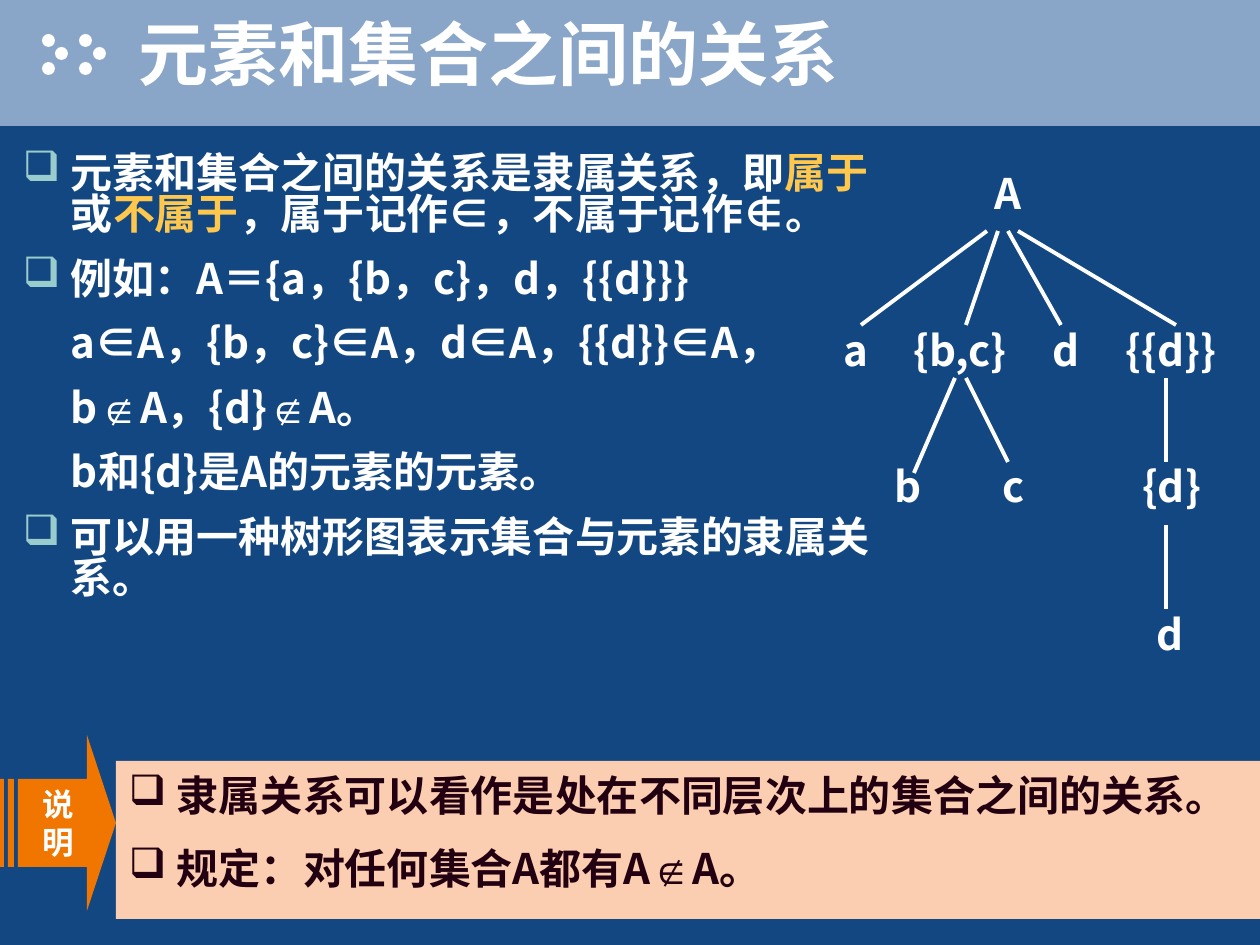
from lxml import etree
from pptx import Presentation
from pptx import util as u
from pptx.dml.color import RGBColor
from pptx.enum import shapes, text
from pptx.oxml.ns import qn

PX = 914400 // 126
COLORS = {
    "background": "134781", "band": "89A5C7", "white": "FFFFFF",
    "bullet": "99CCCC", "key": "FFC84D", "arrow": "F07600",
    "note": "FCCEB1", "dark": "220011",
}
FONT, SYMBOL_FONT = "Noto Sans CJK SC", "Arial"

TITLE = "元素和集合之间的关系"
# Each paragraph: bulleted or not, then its runs; a run is (words, colour or None).
BODY = [
    (True, [("元素和集合之间的关系是隶属关系，即", None), ("属于", "key"),
            ("或", None), ("不属于", "key"), ("，属于记作∈，不属于记作", None),
            ("∉", None), ("。", None)]),
    (True, [("例如：A＝{a，{b，c}，d，{{d}}}", None)]),
    (False, [("a∈A，{b，c}∈A，d∈A，{{d}}∈A，", None)]),
    (False, [("b", None), ("∉", None), ("A，{d}", None), ("∉", None), ("A。", None)]),
    (False, [("b和{d}是A的元素的元素。", None)]),
    (True, [("可以用一种树形图表示集合与元素的隶属关系。", None)]),
]
NOTE = [
    (True, [("隶属关系可以看作是处在不同层次上的集合之间的关系。", None)]),
    (True, [("规定：对任何集合A都有A", None), ("∉", None), ("A。", None)]),
]
NOTE_LABEL = "说明"

DOTS = [(42, 34), (55, 47), (42, 62), (79, 34), (93, 47), (79, 62)]
DOT_SIZE = 13
ARROW = [
    [(18, 779), (87, 779), (87, 735), (116, 823), (87, 911), (87, 867), (18, 867)],
    [(0, 779), (4, 779), (4, 867), (0, 867)],
    [(8, 779), (14, 779), (14, 867), (8, 867)],
]
# Tree levels: top of the row, then (label, left, width).
TREE = [
    (158, [("A", 955, 105)]),
    (315, [("a", 829, 53), ("{b,c}", 892, 136), ("d", 1040, 53), ("{{d}}", 1103, 136)]),
    (451, [("b", 882, 53), ("c", 987, 53), ("{d}", 1124, 95)]),
    (599, [("d", 1144, 53)]),
]
BRANCHES = [
    (987, 231, 861, 325), (998, 231, 966, 325), (1008, 231, 1061, 325),
    (1018, 231, 1176, 325), (955, 378, 914, 473), (966, 378, 1008, 462),
    (1166, 378, 1166, 462), (1166, 525, 1166, 609),
]


def px(*lengths):
    return [round(length * PX) for length in lengths]


def rgb(name):
    return RGBColor.from_string(COLORS[name])


def paint(shape, color):
    shape.shadow.inherit = False
    shape.fill.solid()
    shape.fill.fore_color.rgb = rgb(color)
    shape.line.fill.background()
    return shape


def add_bullet(paragraph, color):
    props = paragraph._p.get_or_add_pPr()
    tint = etree.SubElement(props, qn("a:buClr"))
    etree.SubElement(tint, qn("a:srgbClr"), val=COLORS[color])
    etree.SubElement(props, qn("a:buChar"), char="❑")


def add_run(paragraph, words, color, size):
    run = paragraph.add_run()
    run.text = words
    font = run.font
    font.size, font.bold = u.Pt(size), True
    font.color.rgb = rgb(color)
    font.name = SYMBOL_FONT if words == "∉" else FONT
    east_asian = etree.Element(qn("a:ea"), typeface=font.name)
    run._r.rPr.find(qn("a:latin")).addnext(east_asian)
    return run


def write(shape, paragraphs, color="white", size=24, line=29, gap=13.5, bullet="bullet",
          align=text.PP_ALIGN.LEFT, anchor=text.MSO_ANCHOR.TOP, side=13, top=6):
    """Fill a shape with (bulleted, runs) paragraphs; line is the line pitch in points."""
    frame = shape.text_frame
    frame.word_wrap = True
    frame.vertical_anchor = anchor
    frame.margin_left, frame.margin_right = px(side, side)
    frame.margin_top, frame.margin_bottom = px(top, 6)
    for index, (bulleted, runs) in enumerate(paragraphs):
        paragraph = frame.add_paragraph() if index else frame.paragraphs[0]
        if bullet:
            props = paragraph._p.get_or_add_pPr()
            props.set("marL", str(48 * PX))
            props.set("indent", str(-48 * PX if bulleted else 0))
        if bulleted:
            add_bullet(paragraph, bullet)
        paragraph.alignment = align
        if line:
            paragraph.line_spacing = u.Pt(line)
        if index:
            paragraph.space_before = u.Pt(gap)
        for words, tint in runs:
            add_run(paragraph, words, tint or color, size)


def plain(words):
    return [(False, [(words, None)])]


def cast_text_shadow(run):
    effects = etree.Element(qn("a:effectLst"))
    shadow = etree.SubElement(effects, qn("a:outerShdw"), dist="28575", dir="2700000")
    etree.SubElement(shadow, qn("a:srgbClr"), val=COLORS["dark"])
    run._r.rPr.find(qn("a:solidFill")).addnext(effects)


def add_header(slide):
    band = slide.shapes.add_shape(shapes.MSO_SHAPE.RECTANGLE, *px(0, 0, 1260, 126))
    paint(band, "band")
    for left, top in DOTS:
        dot = slide.shapes.add_shape(shapes.MSO_SHAPE.OVAL,
                                     *px(left, top, DOT_SIZE, DOT_SIZE))
        paint(dot, "white")
    title = slide.shapes.add_textbox(*px(126, 0, 1134, 105))
    write(title, plain(TITLE), size=40, line=None, bullet=None,
          anchor=text.MSO_ANCHOR.MIDDLE)
    cast_text_shadow(title.text_frame.paragraphs[0].runs[0])


def add_note(slide):
    first, *bars = ARROW
    builder = slide.shapes.build_freeform(*first[0], scale=PX)
    builder.add_line_segments(first[1:])
    for bar in bars:
        builder.move_to(*bar[0])
        builder.add_line_segments(bar[1:])
    arrow = paint(builder.convert_to_shape(), "arrow")
    write(arrow, plain(NOTE_LABEL), size=18, line=21.7, bullet=None, side=30,
          align=text.PP_ALIGN.CENTER, anchor=text.MSO_ANCHOR.MIDDLE)
    panel = slide.shapes.add_shape(shapes.MSO_SHAPE.RECTANGLE, *px(116, 761, 1144, 158))
    write(paint(panel, "note"), NOTE, color="dark", line=28.2, bullet="dark", top=10)


def add_tree(slide):
    for top, nodes in TREE:
        for label, left, width in nodes:
            node = slide.shapes.add_textbox(*px(left, top, width, 63))
            write(node, plain(label), bullet=None, align=text.PP_ALIGN.CENTER, top=9)
    for ends in BRANCHES:
        branch = slide.shapes.add_connector(shapes.MSO_CONNECTOR.STRAIGHT, *px(*ends))
        branch.line.color.rgb = rgb("white")
        branch.line.width = u.Pt(2.25)
        etree.SubElement(branch._element.spPr, qn("a:effectLst"))


def main():
    deck = Presentation()
    deck.slide_width, deck.slide_height = px(1260, 945)
    slide = deck.slides.add_slide(deck.slide_layouts[6])
    slide.background.fill.solid()
    slide.background.fill.fore_color.rgb = rgb("background")
    add_header(slide)
    body = slide.shapes.add_textbox(*px(10, 147, 872, 514))
    write(body, BODY, line=23.4, top=9)
    add_note(slide)
    add_tree(slide)
    deck.save("out.pptx")


if __name__ == "__main__":
    main()
